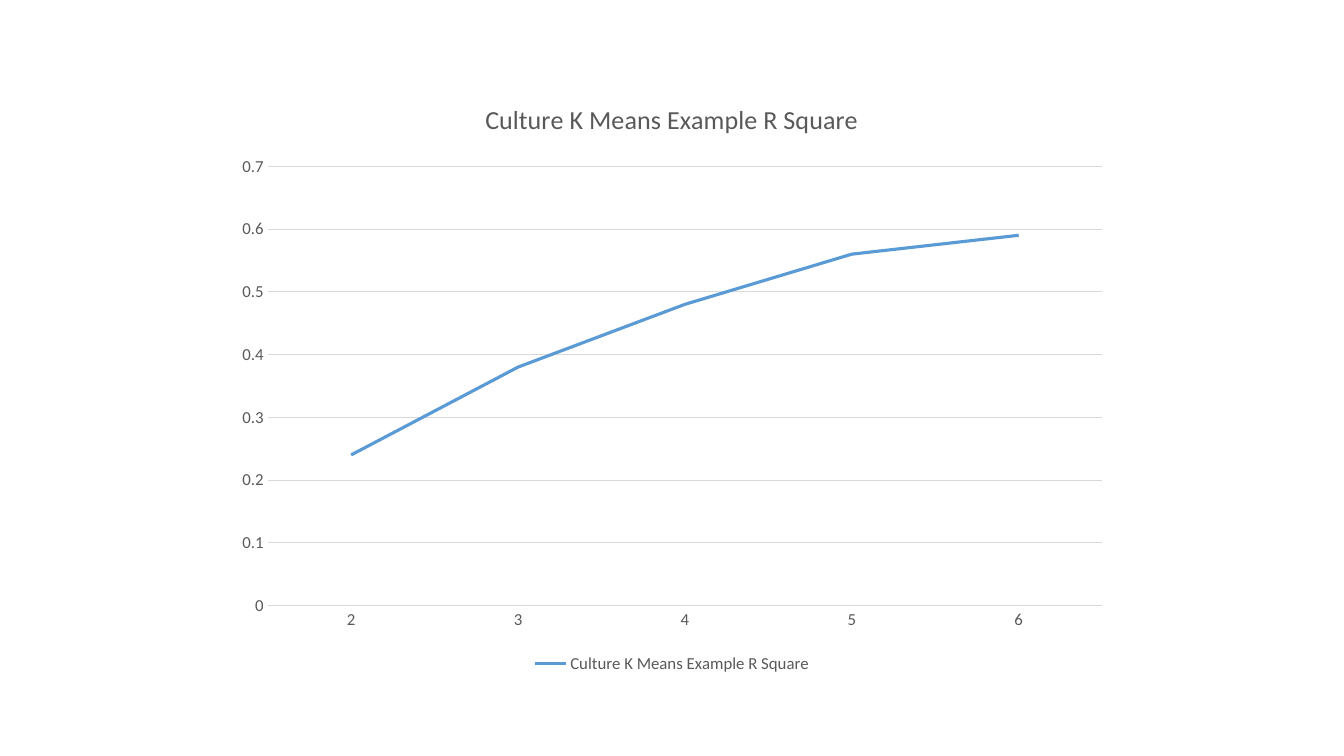
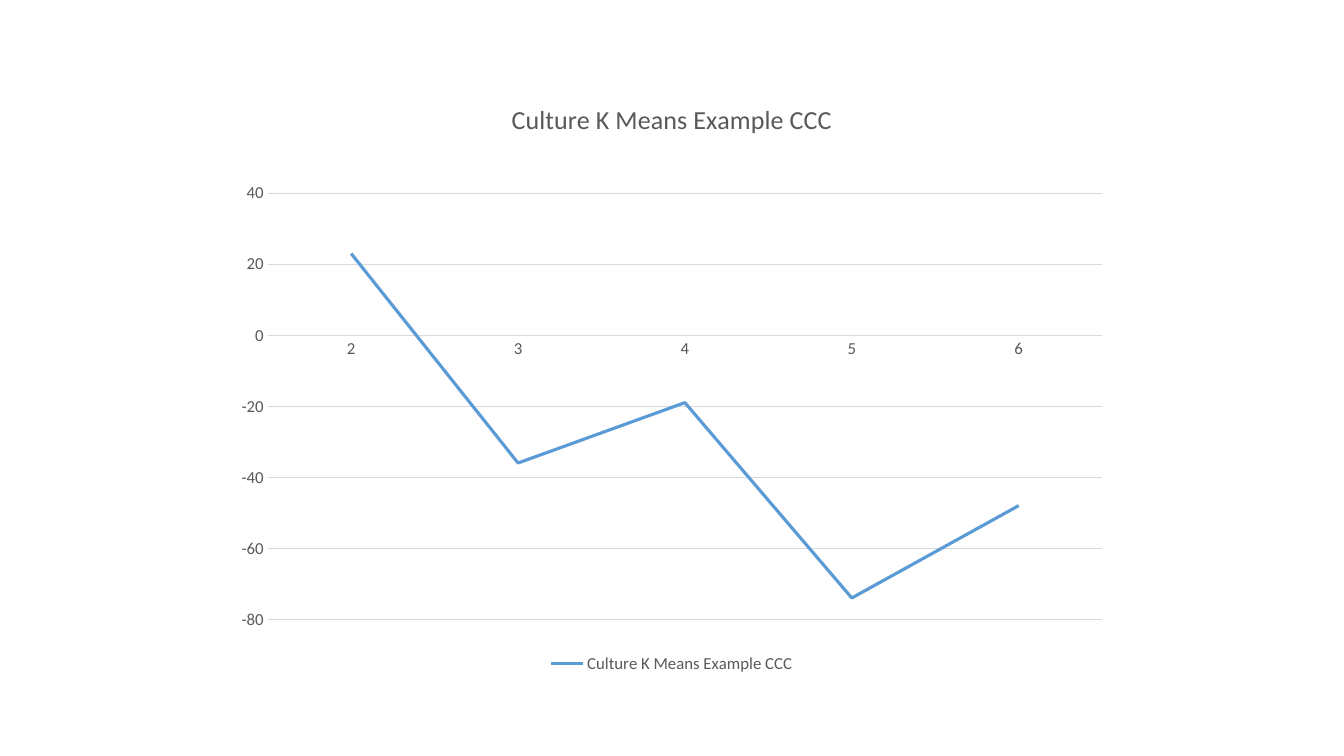
"""Build two line-chart slides on the fit of a k-means clustering example."""
from lxml.etree import SubElement
from pptx import Presentation
from pptx.chart.data import CategoryChartData
from pptx.dml.color import RGBColor
from pptx.enum.chart import XL_CHART_TYPE, XL_LEGEND_POSITION, XL_TICK_MARK
from pptx.oxml import parse_xml
from pptx.oxml.ns import nsdecls, qn
from pptx.util import Inches, Pt

COLORS = {"text": "595959", "grid": "D9D9D9", "series": "5B9BD5"}
FONT = "Calibri"
CLUSTERS = ["2", "3", "4", "5", "6"]
CHARTS = [
    {"title": "Culture K Means Example R Square",
     "values": [0.24, 0.38, 0.48, 0.56, 0.59],
     "scale": (0, 0.7, 0.1), "plot_top": 0.145, "plot_height": 0.735},
    {"title": "Culture K Means Example CCC",
     "values": [23, -36, -19, -74, -48],
     "scale": (-80, 40, 20), "plot_top": 0.19, "plot_height": 0.713},
]


def format_font(font, size):
    font.name = FONT
    font.size = Pt(size)
    font.bold = False
    font.color.rgb = RGBColor.from_string(COLORS["text"])


def format_line(line, color, width):
    line.color.rgb = RGBColor.from_string(COLORS[color])
    line.width = Pt(width)


presentation = Presentation()
presentation.slide_width = Inches(13.33)
presentation.slide_height = Inches(7.5)
blank_layout = presentation.slide_layouts[6]

for content in CHARTS:
    slide = presentation.slides.add_slide(blank_layout)
    chart_data = CategoryChartData()
    chart_data.categories = CLUSTERS
    chart_data.add_series(content["title"], content["values"])
    chart = slide.shapes.add_chart(
        XL_CHART_TYPE.LINE, Inches(2.22), Inches(0.79),
        Inches(8.89), Inches(5.93), chart_data).chart
    format_font(chart.font, 12)

    chart.has_title = True
    title_frame = chart.chart_title.text_frame
    title_frame.text = content["title"]
    format_font(title_frame.paragraphs[0].runs[0].font, 18.6)
    chart.chart_title.include_in_layout = False

    chart.has_legend = True
    chart.legend.position = XL_LEGEND_POSITION.BOTTOM
    chart.legend.include_in_layout = False
    format_font(chart.legend.font, 12)

    category_axis, value_axis = chart.category_axis, chart.value_axis
    for axis in (category_axis, value_axis):
        axis.major_tick_mark = XL_TICK_MARK.NONE
        axis.minor_tick_mark = XL_TICK_MARK.NONE
        format_font(axis.tick_labels.font, 12)
    format_line(category_axis.format.line, "grid", 0.75)
    value_axis.format.line.fill.background()
    value_axis.has_major_gridlines = True
    format_line(value_axis.major_gridlines.format.line, "grid", 0.75)
    value_axis.minimum_scale, value_axis.maximum_scale, value_axis.major_unit = content["scale"]

    chart.plots[0].vary_by_categories = False
    series = chart.plots[0].series[0]
    series.smooth = False
    format_line(series.format.line, "series", 2.25)

    plot_area = chart.element.find(".//" + qn("c:plotArea"))
    for layout in plot_area.findall(qn("c:layout")):
        plot_area.remove(layout)
    layout = parse_xml(f"<c:layout {nsdecls('c')}><c:manualLayout/></c:layout>")
    settings = {"layoutTarget": "inner", "xMode": "edge", "yMode": "edge",
                "x": 0.049, "y": content["plot_top"],
                "w": 0.931, "h": content["plot_height"]}
    for name, value in settings.items():
        SubElement(layout[0], qn(f"c:{name}")).set("val", str(value))
    plot_area.insert(0, layout)

presentation.save("out.pptx")
